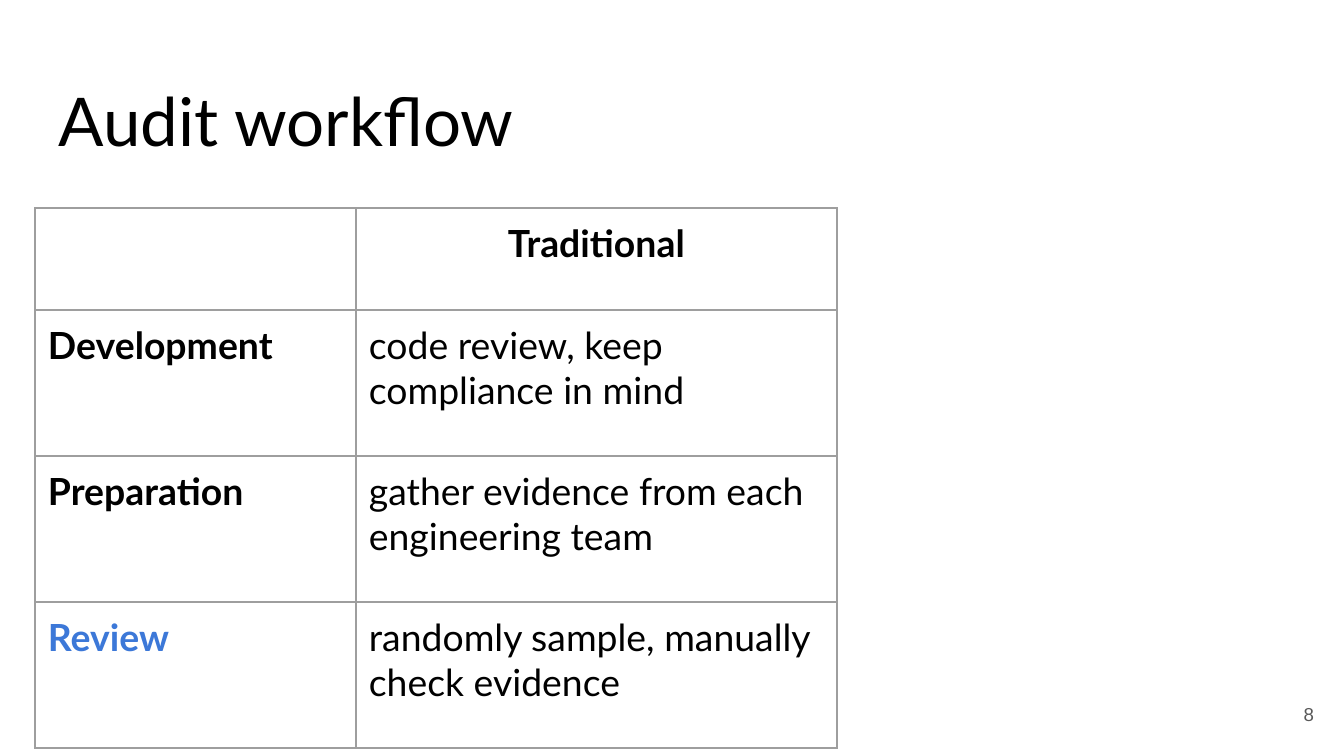
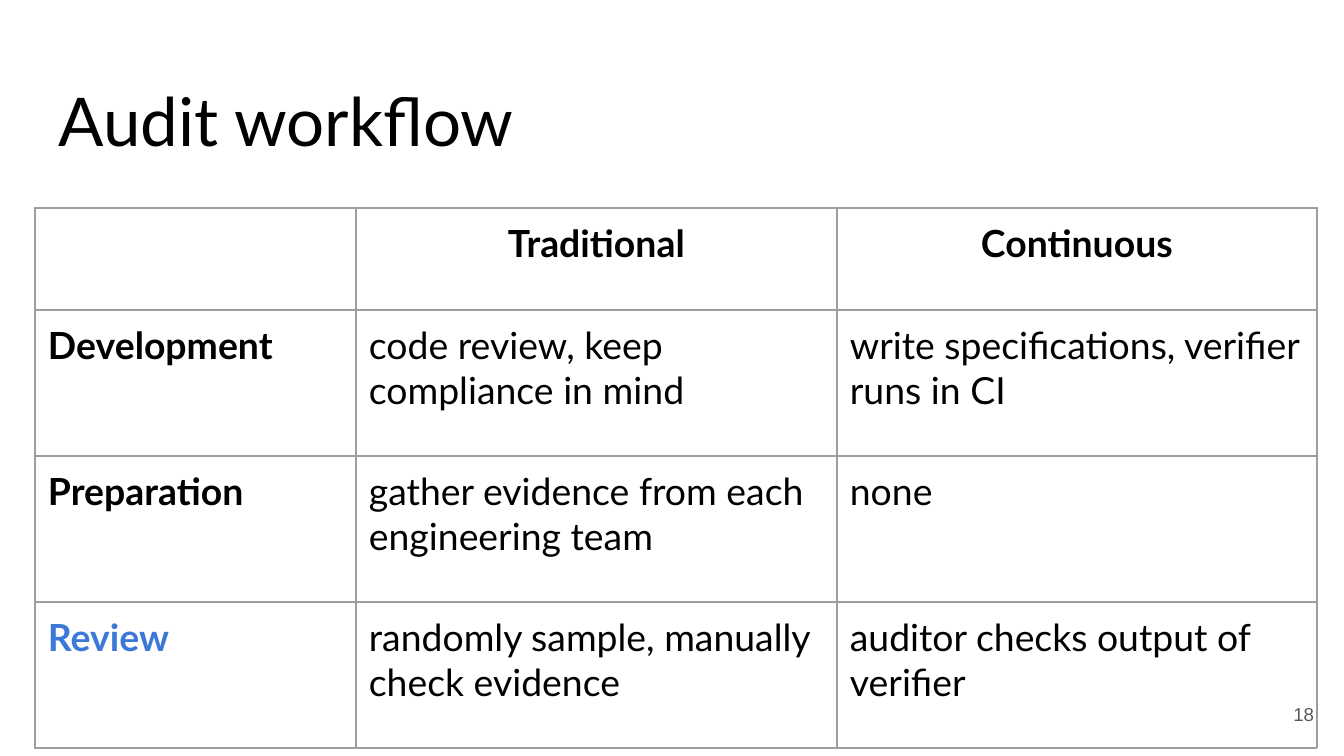
import pptx
import pptx.dml.color
import pptx.enum.text
import pptx.oxml
import pptx.oxml.ns
import pptx.util

PX = 914400 / 134.4  # EMU per px
COLORS = {"text": "000000", "accent": "3C78D8", "number": "595959",
          "border": "9E9E9E", "background": "FFFFFF"}
ALIGN = pptx.enum.text.PP_ALIGN
ANCHOR = pptx.enum.text.MSO_ANCHOR

HEADERS = ["", "Traditional", "Continuous"]
WORKFLOW = [
    ["Development", "code review, keep compliance in mind",
     "write specifications, verifier runs in CI"],
    ["Preparation", "gather evidence from each engineering team", "none"],
    ["Review", "randomly sample, manually check evidence",
     "auditor checks output of verifier"],
]
COL_WIDTHS = [321, 481, 480]
HEADER_HEIGHT, ROW_HEIGHT = 102, 146
INSET = 13


def px(n):
    return pptx.util.Emu(round(n * PX))


def rgb(name):
    return pptx.dml.color.RGBColor.from_string(COLORS[name])


class Deck:
    def __init__(self):
        self.prs = pptx.Presentation()
        self.prs.slide_width, self.prs.slide_height = px(1344), px(756)
        self.s = None

    def slide(self):
        self.s = self.prs.slides.add_slide(self.prs.slide_layouts[6])
        fill = self.s.background.fill
        fill.solid()
        fill.fore_color.rgb = rgb("background")

    def style_text(self, tf, text, size, font="Lato", color="text", bold=False,
                   align=ALIGN.LEFT):
        tf.text = text
        p = tf.paragraphs[0]
        p.alignment = align
        for r in p.runs:
            r.font.name, r.font.size = font, pptx.util.Pt(size)
            r.font.bold = bold
            r.font.color.rgb = rgb(color)

    def text(self, box, text, size, anchor=ANCHOR.TOP, **style):
        tf = self.s.shapes.add_textbox(*map(px, box)).text_frame
        tf.word_wrap = True
        tf.vertical_anchor = anchor
        tf.margin_left = tf.margin_right = px(INSET)
        tf.margin_top = tf.margin_bottom = px(INSET)
        self.style_text(tf, text, size, **style)

    def title(self, text):
        self.text((46, 66, 1253, 85), text, 36)

    def number(self, n):
        self.text((1246, 685, 81, 58), str(n), 10, anchor=ANCHOR.MIDDLE,
                  font="Arial", color="number", align=ALIGN.RIGHT)

    def borders(self, cell):
        tc_pr = cell._tc.get_or_add_tcPr()
        for i, side in enumerate(("lnL", "lnR", "lnT", "lnB")):
            tc_pr.insert(i, pptx.oxml.parse_xml(
                f'<a:{side} {pptx.oxml.ns.nsdecls("a")} w="9525"><a:solidFill>'
                f'<a:srgbClr val="{COLORS["border"]}"/></a:solidFill></a:{side}>'))

    def table(self, left, top, rows, widths, heights):
        sp = self.s.shapes.add_table(len(rows), len(widths), px(left), px(top),
                                     px(sum(widths)), px(sum(heights)))
        table = sp.table
        table.first_row = table.horz_banding = False
        for column, width in zip(table.columns, widths):
            column.width = px(width)
        for row, height in zip(table.rows, heights):
            row.height = px(height)
        for i, values in enumerate(rows):
            for j, value in enumerate(values):
                cell = table.cell(i, j)
                cell.margin_left = cell.margin_right = px(INSET)
                cell.margin_top = cell.margin_bottom = px(INSET)
                cell.fill.background()
                self.borders(cell)
                self.style_text(cell.text_frame, value, 20,
                                bold=i == 0 or j == 0,
                                color="accent" if value == "Review" else "text",
                                align=ALIGN.CENTER if i == 0 else ALIGN.LEFT)


def main():
    deck = Deck()
    heights = [HEADER_HEIGHT] + [ROW_HEIGHT] * len(WORKFLOW)
    # The second slide adds the last column
    for number, columns in ((8, 2), (18, 3)):
        deck.slide()
        deck.title("Audit workflow")
        deck.number(number)
        rows = [row[:columns] for row in [HEADERS] + WORKFLOW]
        deck.table(35, 208, rows, COL_WIDTHS[:columns], heights)
    deck.prs.save("out.pptx")


if __name__ == "__main__":
    main()
